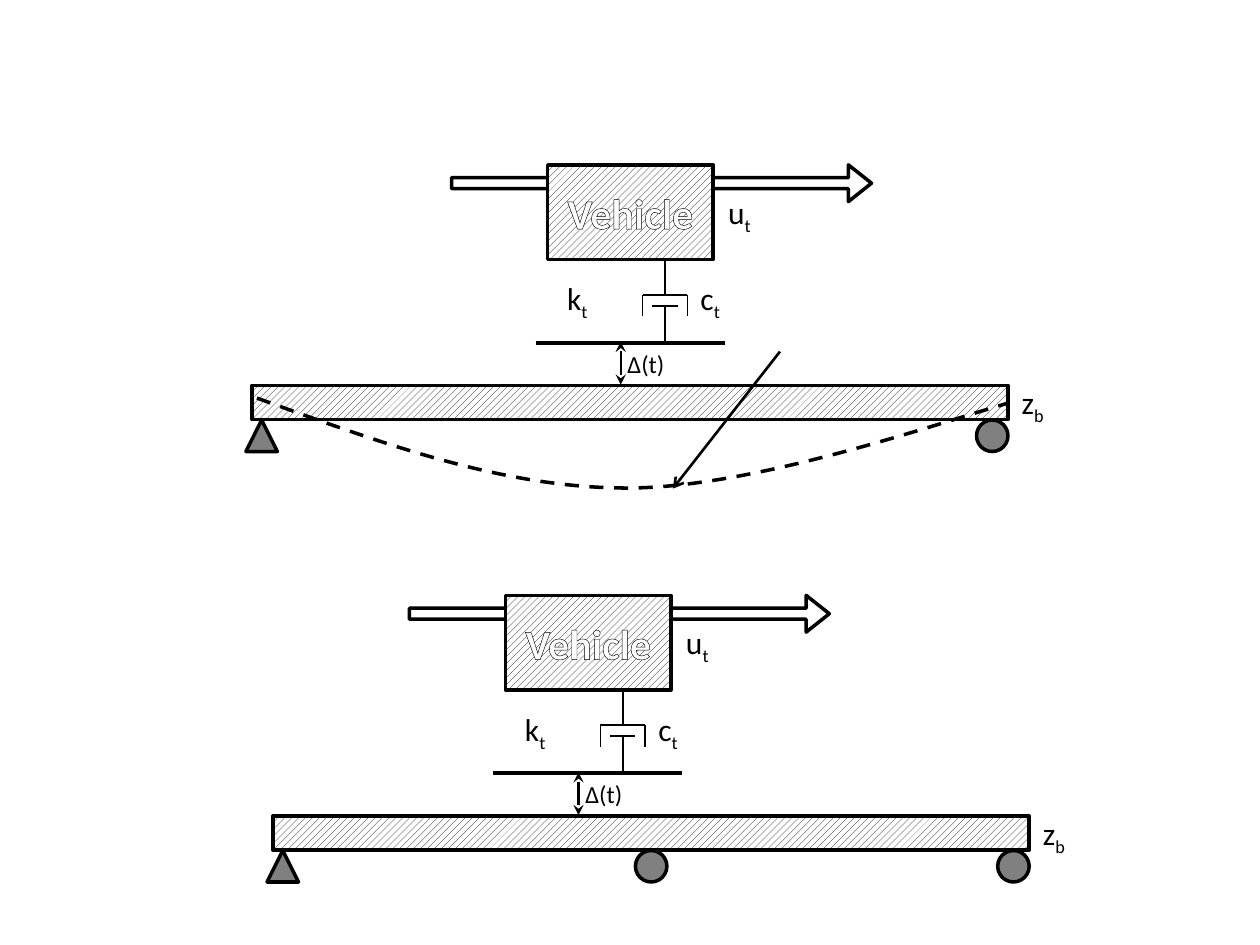
from typing import NamedTuple, Optional

from lxml.etree import SubElement
from pptx import Presentation
from pptx.dml.color import RGBColor
from pptx.enum.dml import MSO_LINE, MSO_PATTERN
from pptx.enum.shapes import MSO_CONNECTOR, MSO_SHAPE
from pptx.enum.text import MSO_ANCHOR, MSO_AUTO_SIZE, PP_ALIGN
from pptx.oxml.ns import qn
from pptx.util import Pt

BLACK = RGBColor(0, 0, 0)
WHITE = RGBColor(255, 255, 255)
GRAY = RGBColor(128, 128, 128)
FONT = "Calibri"


class Offset(NamedTuple):
    x: float
    y: float


class Label(NamedTuple):
    left: float
    top: float
    width: float
    height: float
    text: str
    subscript: str = ""
    size: float = 18
    alignment: PP_ALIGN = PP_ALIGN.LEFT


class Line(NamedTuple):
    x1: float
    y1: float
    x2: float
    y2: float
    width: float = 1
    head: Optional[str] = None
    tail: Optional[str] = None


class Support(NamedTuple):
    kind: MSO_SHAPE
    left: float


class Diagram(NamedTuple):
    vehicle: Offset
    beam: Offset
    supports: tuple


PIN = Support(MSO_SHAPE.ISOSCELES_TRIANGLE, 140.5)
MIDDLE_ROLLER = Support(MSO_SHAPE.OVAL, 351)
END_ROLLER = Support(MSO_SHAPE.OVAL, 558)

DIAGRAMS = (
    Diagram(Offset(0, 0), Offset(0, 0), (PIN, END_ROLLER)),
    Diagram(Offset(-24.1, 246), Offset(12.1, 246), (PIN, END_ROLLER, MIDDLE_ROLLER)),
)
ROAD_LINES = (
    Line(306, 195.8, 414, 195.8, 2.25),
    Line(354.7, 195.3, 354.7, 219.8, 1.25, "stealth", "stealth"),
)
DAMPER_LINES = (
    Line(380, 148.3, 380, 168.5),
    Line(367.2, 168.5, 392.8, 168.5),
    Line(367.2, 168.5, 367.2, 180.7),
    Line(392.8, 168.5, 392.8, 180.7),
    Line(372.8, 174.7, 387.2, 174.7),
    Line(380, 174.7, 380, 195.3),
)
VEHICLE_LABELS = (
    Label(351.5, 195.8, 39, 24.5, "Δ(t)", size=14),
    Label(409, 106.6, 44.6, 29, "u", "t"),
    Label(308.2, 156, 34.6, 29, "k", "t", alignment=PP_ALIGN.RIGHT),
    Label(393.2, 156, 42.5, 29, "c", "t"),
)
BEAM_LABEL = Label(576.8, 215.4, 53.3, 29, "z", "b")
DEFLECTION = (
    (146.9, 227.5), (216.7, 252.7), (285.8, 278.6), (357.1, 278.9),
    (428.4, 279.2), (529.2, 244.1), (576, 230.4),
)
POINTER = Line(445.7, 200.9, 384.5, 279.2, 1.5, tail="arrow")


def add_outlined_shape(shapes, kind: MSO_SHAPE, offset: Offset, left: float, top: float,
                       width: float, height: float):
    """Add an unfilled preset shape with a black outline."""
    shape = shapes.add_shape(kind, Pt(left + offset.x), Pt(top + offset.y), Pt(width), Pt(height))
    shape.shadow.inherit = False
    shape.fill.background()
    shape.line.color.rgb = BLACK
    shape.line.width = Pt(2)
    return shape


def hatch(shape) -> None:
    """Fill a shape with black diagonal hatching on white."""
    shape.fill.patterned()
    shape.fill.pattern = MSO_PATTERN.WIDE_UPWARD_DIAGONAL
    shape.fill.fore_color.rgb = BLACK
    shape.fill.back_color.rgb = WHITE


def add_line(shapes, line: Line, offset: Offset) -> None:
    """Add a straight black line with optional arrowheads."""
    connector = shapes.add_connector(
        MSO_CONNECTOR.STRAIGHT, Pt(line.x1 + offset.x), Pt(line.y1 + offset.y),
        Pt(line.x2 + offset.x), Pt(line.y2 + offset.y))
    connector.line.color.rgb = BLACK
    connector.line.width = Pt(line.width)
    outline = connector.line._get_or_add_ln()
    for tag, arrowhead in (("a:headEnd", line.head), ("a:tailEnd", line.tail)):
        if arrowhead:
            SubElement(outline, qn(tag), type=arrowhead)
    SubElement(connector._element.spPr, qn("a:effectLst"))


def add_label(shapes, label: Label, offset: Offset) -> None:
    """Add a symbol with an optional subscript."""
    box = shapes.add_textbox(Pt(label.left + offset.x), Pt(label.top + offset.y),
                             Pt(label.width), Pt(label.height))
    box.text_frame.word_wrap = True
    box.text_frame.auto_size = MSO_AUTO_SIZE.SHAPE_TO_FIT_TEXT
    paragraph = box.text_frame.paragraphs[0]
    paragraph.text = label.text
    paragraph.alignment = label.alignment
    if label.subscript:
        run = paragraph.add_run()
        run.text = label.subscript
        run.font._element.set("baseline", "-25000")
    for run in paragraph.runs:
        run.font.name = FONT
        run.font.size = Pt(label.size)
        run.font.color.rgb = BLACK


def add_vehicle(shapes, offset: Offset) -> None:
    """Add the moving vehicle body with its outlined caption."""
    arrow = add_outlined_shape(shapes, MSO_SHAPE.RIGHT_ARROW, offset, 258, 94.2, 240, 21)
    arrow.adjustments[0] = 0.3
    arrow.adjustments[1] = 0.63
    body = add_outlined_shape(shapes, MSO_SHAPE.RECTANGLE, offset, 313, 94.3, 94.5, 54)
    hatch(body)
    body.text_frame.text = "Vehicle"
    body.text_frame.vertical_anchor = MSO_ANCHOR.MIDDLE
    paragraph = body.text_frame.paragraphs[0]
    paragraph.alignment = PP_ALIGN.CENTER
    font = paragraph.runs[0].font
    font.name = FONT
    font.size = Pt(24)
    font.bold = True
    font.color.rgb = WHITE
    outline = SubElement(font._element, qn("a:ln"), w=str(Pt(1.5)))
    fill = SubElement(outline, qn("a:solidFill"))
    SubElement(fill, qn("a:srgbClr"), val=str(BLACK))
    font._element.insert(0, outline)


def add_diagram(shapes, diagram: Diagram) -> None:
    """Add a vehicle, its suspension and the supported beam below it."""
    add_vehicle(shapes, diagram.vehicle)
    hatch(add_outlined_shape(shapes, MSO_SHAPE.RECTANGLE, diagram.beam, 144, 220.2, 432, 19.6))
    for line in ROAD_LINES:
        add_line(shapes, line, diagram.vehicle)
    damper = shapes.add_group_shape()
    for line in DAMPER_LINES:
        add_line(damper.shapes, line, diagram.vehicle)
    for label in VEHICLE_LABELS:
        add_label(shapes, label, diagram.vehicle)
    add_label(shapes, BEAM_LABEL, diagram.beam)
    for support in diagram.supports:
        shape = add_outlined_shape(shapes, support.kind, diagram.beam, support.left, 240, 18, 18)
        shape.fill.solid()
        shape.fill.fore_color.rgb = GRAY


def add_deflection(shapes) -> None:
    """Add the dashed deflection curve through cubic control points."""
    start, *controls = [(Pt(x), Pt(y)) for x, y in DEFLECTION]
    builder = shapes.build_freeform(*start)
    builder.add_line_segments(controls, close=False)
    curve = builder.convert_to_shape()
    curve.shadow.inherit = False
    curve.fill.background()
    curve.line.color.rgb = BLACK
    curve.line.width = Pt(2)
    curve.line.dash_style = MSO_LINE.DASH
    outline = next(curve._element.iter(qn("a:path")))
    segments = outline.findall(qn("a:lnTo"))
    for first in range(0, len(segments), 3):
        cubic = SubElement(outline, qn("a:cubicBezTo"))
        for segment in segments[first:first + 3]:
            cubic.append(segment[0])
            outline.remove(segment)


def main() -> None:
    """Build the vehicle and beam slide."""
    presentation = Presentation()
    presentation.slide_width = Pt(720)
    presentation.slide_height = Pt(540)
    slide = presentation.slides.add_slide(presentation.slide_layouts[6])
    for diagram in DIAGRAMS:
        add_diagram(slide.shapes, diagram)
    add_deflection(slide.shapes)
    add_line(slide.shapes, POINTER, Offset(0, 0))
    presentation.save("out.pptx")


if __name__ == "__main__":
    main()
